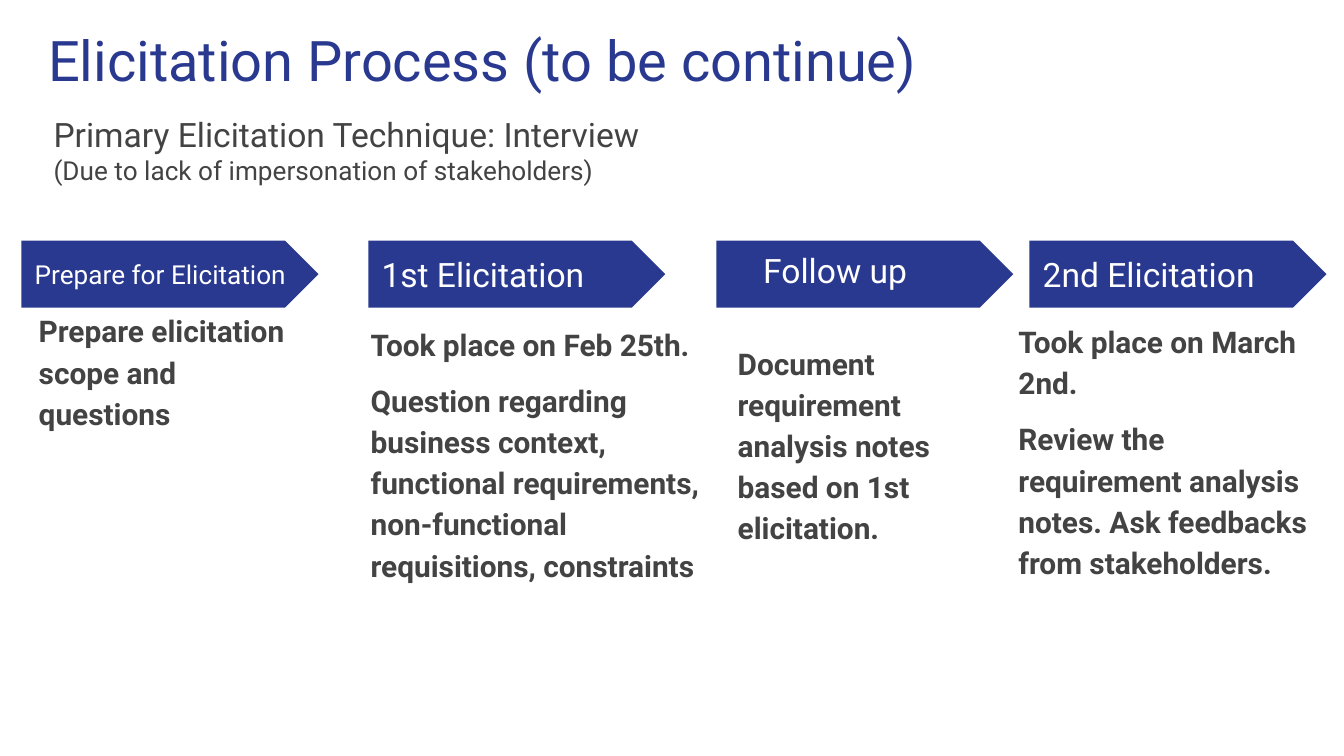
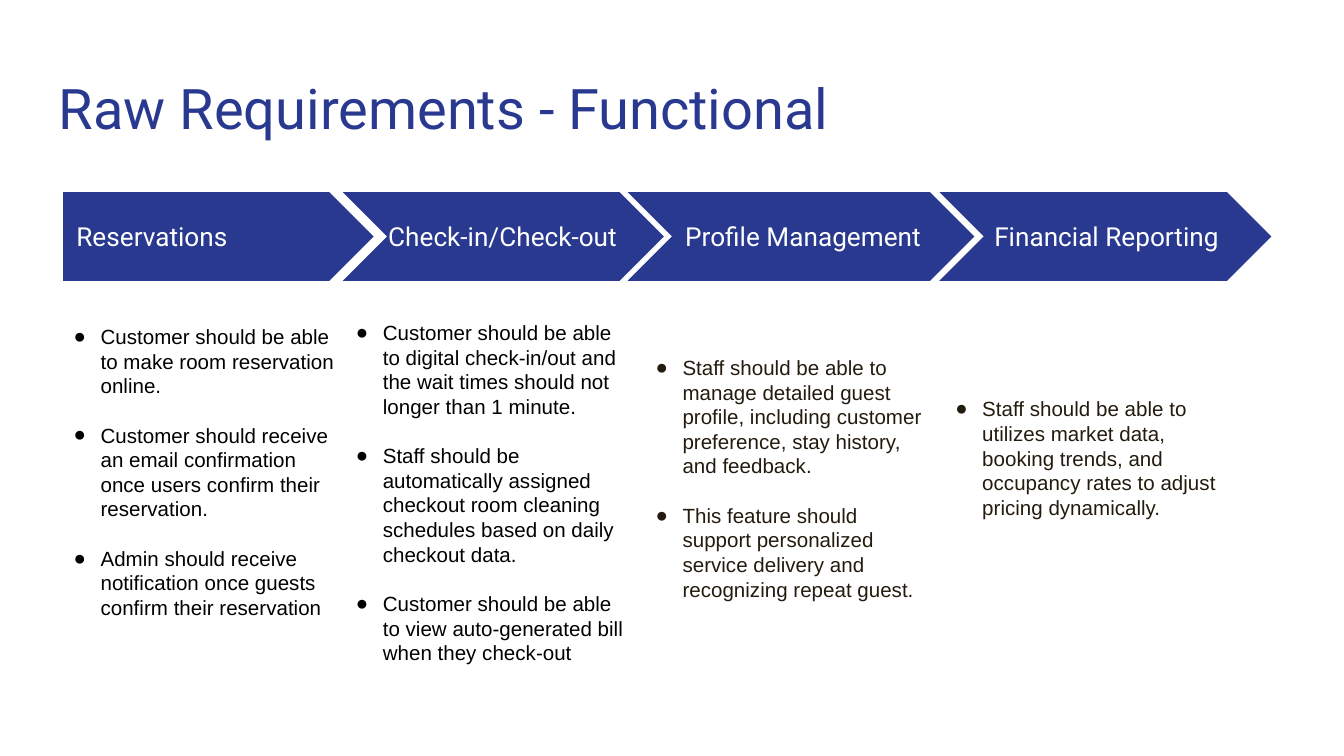
from lxml.etree import SubElement
from pptx import Presentation
from pptx.dml.color import RGBColor as Color
from pptx.enum.shapes import MSO_SHAPE as Shape
from pptx.enum.text import MSO_ANCHOR as Anchor, MSO_AUTO_SIZE as AutoSize, PP_ALIGN as Align
from pptx.oxml.ns import qn
from pptx.util import Inches, Pt

COLORS = {"navy": "2A3990", "white": "FFFFFF", "gray": "434343", "black": "000000", "brown": "231B0E"}
TITLE = {"name": "Roboto", "size": Pt(30), "color": "navy"}
LABEL = {"name": "Roboto", "size": Pt(18), "color": "white"}
SMALL_LABEL = {**LABEL, "size": Pt(14)}
SUBTITLE = {"name": "Roboto", "size": Pt(18), "color": "gray"}
SUBTITLE_NOTE = {**SUBTITLE, "size": Pt(14)}
DETAIL = {"name": "Roboto", "size": Pt(16), "color": "gray", "bold": True}
BULLET = {"name": "Arial", "size": Pt(11)}
DETAIL_GAP = {"space_before": Pt(8), "space_after": Pt(8)}
BULLET_GAP = {"space_before": Pt(13.2)}


def add_text(slide, box, lines, anchor=Anchor.TOP, line_spacing=None, gap=None, bullet=False, grow=False):
    text_box = slide.shapes.add_textbox(*[Inches(value) for value in box])
    frame = text_box.text_frame
    settings = {"word_wrap": True, "vertical_anchor": anchor,
                "auto_size": AutoSize.SHAPE_TO_FIT_TEXT if grow else AutoSize.NONE}
    for side in ("left", "top", "right", "bottom"):
        settings[f"margin_{side}"] = Inches(0.1)
    for name, value in settings.items():
        setattr(frame, name, value)
    for index, (text, font_format) in enumerate(lines):
        paragraph = frame.add_paragraph() if index else frame.paragraphs[0]
        spacing = {"alignment": Align.LEFT, "line_spacing": line_spacing}
        if index and gap:
            spacing.update(gap)
        for name, value in spacing.items():
            setattr(paragraph, name, value)
        run = paragraph.add_run()
        run.text = text
        for name, value in font_format.items():
            if name == "color":
                run.font.color.rgb = Color.from_string(COLORS[value])
            else:
                setattr(run.font, name, value)
        if bullet:
            properties = paragraph._p.get_or_add_pPr()
            properties.set("marL", str(Inches(0.31)))
            properties.set("indent", str(Inches(-0.2)))
            bullet_color = SubElement(properties, qn("a:buClr"))
            SubElement(bullet_color, qn("a:srgbClr"), val=COLORS[font_format["color"]])
            SubElement(properties, qn("a:buFont"), typeface="Arial")
            SubElement(properties, qn("a:buChar"), char="●")


def add_arrow(slide, kind, box):
    arrow = slide.shapes.add_shape(kind, *[Inches(value) for value in box])
    arrow.shadow.inherit = False
    arrow.fill.solid()
    arrow.fill.fore_color.rgb = Color.from_string(COLORS["navy"])
    arrow.line.fill.background()


presentation = Presentation()
presentation.slide_width = Inches(10)
presentation.slide_height = Inches(10 * 9 / 16)
blank_layout = presentation.slide_layouts[6]

process_slide = presentation.slides.add_slide(blank_layout)
add_text(process_slide, (0.26, 0.09, 9.32, 0.66), [("Elicitation Process (to be continue)", TITLE)])

steps = [
    (0.16, "Prepare for Elicitation", SMALL_LABEL, (0.16, 1.92, 2.78, 0.24), (0.19, 2.19, 2.06, 1.04),
     ["Prepare elicitation scope and questions"]),
    (2.74, "1st Elicitation", LABEL, (2.74, 1.91, 2.02, 0.26), (2.66, 2.29, 2.67, 1.86),
     ["Took place on Feb 25th.",
      "Question regarding business context, functional requirements, "
      "non-functional requisitions, constraints"]),
    (5.33, "Follow up", LABEL, (5.58, 1.88, 2.02, 0.26), (5.39, 2.43, 1.88, 1.86),
     ["Document requirement analysis notes based on 1st elicitation."]),
    (7.66, "2nd Elicitation", LABEL, (7.66, 1.91, 2.02, 0.26), (7.48, 2.27, 2.47, 1.86),
     ["Took place on March 2nd.",
      "Review the requirement analysis notes. Ask feedbacks from stakeholders."]),
]
for arrow_left, label, label_format, label_box, detail_box, details in steps:
    add_arrow(process_slide, Shape.PENTAGON, (arrow_left, 1.79, 2.21, 0.5))
    add_text(process_slide, label_box, [(label, label_format)], anchor=Anchor.MIDDLE)
    add_text(process_slide, detail_box, [(detail, DETAIL) for detail in details],
             line_spacing=1.15, gap=DETAIL_GAP)

add_text(process_slide, (0.3, 0.75, 6.89, 0.74), [
    ("Primary Elicitation Technique: Interview", SUBTITLE),
    ("(Due to lack of impersonation of stakeholders)", SUBTITLE_NOTE),
], grow=True)

requirements_slide = presentation.slides.add_slide(blank_layout)
add_text(requirements_slide, (0.34, 0.45, 9.32, 0.66), [("Raw Requirements - Functional", TITLE)])

areas = [
    (Shape.PENTAGON, 0.47, 2.31, "Reservations", 0.47, 1.8, (0.34, 2.31, 2.32, 2.42), "black",
     ["Customer should be able to make room reservation online.",
      "Customer should receive an email confirmation once users confirm their reservation.",
      "Admin should receive notification once guests confirm their reservation"]),
    (Shape.CHEVRON, 2.55, 2.39, "Check-in/Check-out", 2.79, 2.32, (2.44, 2.28, 2.32, 3.01), "black",
     ["Customer should be able to digital check-in/out and the wait times should not longer than 1 minute.",
      "Staff should be automatically assigned checkout room cleaning schedules based on daily checkout data.",
      "Customer should be able to view auto-generated bill when they check-out"]),
    (Shape.CHEVRON, 4.67, 2.58, "Profile Management", 5, 2.04, (4.67, 2.54, 2.32, 2.49), "brown",
     ["Staff should be able to manage detailed guest profile, including customer preference, "
      "stay history, and feedback.",
      "This feature should support personalized service delivery and recognizing repeat guest."]),
    (Shape.CHEVRON, 6.99, 2.47, "Financial Reporting", 7.3, 2.04, (6.9, 2.85, 2.32, 1.35), "brown",
     ["Staff should be able to utilizes market data, booking trends, and occupancy rates "
      "to adjust pricing dynamically."]),
]
for kind, arrow_left, arrow_width, label, label_left, label_width, list_box, color, requirements in areas:
    add_arrow(requirements_slide, kind, (arrow_left, 1.43, arrow_width, 0.66))
    add_text(requirements_slide, (label_left, 1.59, label_width, 0.34), [(label, SMALL_LABEL)],
             anchor=Anchor.MIDDLE)
    add_text(requirements_slide, list_box,
             [(requirement, {**BULLET, "color": color}) for requirement in requirements],
             gap=BULLET_GAP, bullet=True, grow=True)

presentation.save("out.pptx")
